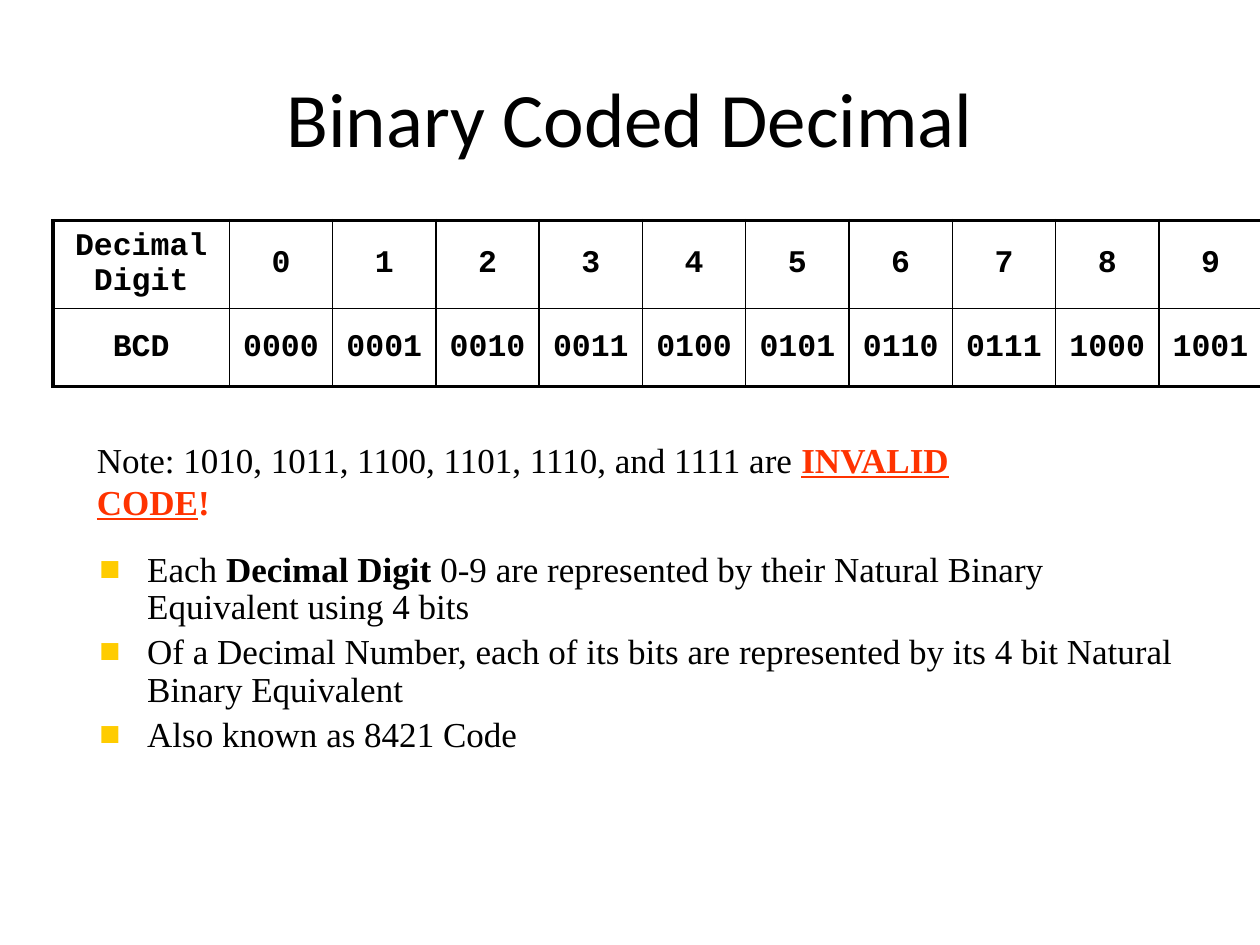
from lxml.etree import SubElement
from pptx import Presentation
from pptx.dml.color import RGBColor
from pptx.enum.text import MSO_ANCHOR, MSO_AUTO_SIZE, PP_ALIGN
from pptx.oxml.ns import qn
from pptx.util import Inches, Pt

BLACK, RED, YELLOW = "000000", "FF3300", "FFCC00"


def add_run(paragraph, text, font_name, size, color=BLACK, **formats):
    run = paragraph.add_run()
    run.text = text
    run.font.color.rgb = RGBColor.from_string(color)
    for name, value in {"name": font_name, "size": Pt(size), **formats}.items():
        setattr(run.font, name, value)


def add_text_frame(left, top, width, height):
    frame = slide.shapes.add_textbox(
        Inches(left), Inches(top), Inches(width), Inches(height)).text_frame
    frame.word_wrap = True
    frame.auto_size = MSO_AUTO_SIZE.SHAPE_TO_FIT_TEXT
    return frame


prs = Presentation()
prs.slide_width, prs.slide_height = Inches(10), Inches(7.5)
slide = prs.slides.add_slide(prs.slide_layouts[5])

# Title
title = slide.shapes.title
title.left, title.top = Inches(0.5), Inches(0.3)
title.width, title.height = Inches(9), Inches(1.25)
title.text_frame.vertical_anchor = MSO_ANCHOR.MIDDLE
heading = title.text_frame.paragraphs[0]
heading.alignment = PP_ALIGN.CENTER
add_run(heading, "Binary Coded Decimal", "Calibri", 44)

# Code table: each digit above its four-bit code
code_rows = [
    ["Decimal Digit"] + [str(digit) for digit in range(10)],
    ["BCD"] + [f"{digit:04b}" for digit in range(10)],
]
col_widths = [1.4] + [0.82] * 10
row_heights = [0.7, 0.62]
last_row, last_col = len(row_heights) - 1, len(col_widths) - 1
codes = slide.shapes.add_table(
    len(row_heights), len(col_widths), Inches(0.42), Inches(1.75),
    Inches(sum(col_widths)), Inches(sum(row_heights))).table
codes.first_row = codes.horz_banding = False
for column, width in zip(codes.columns, col_widths):
    column.width = Inches(width)
for row, height in zip(codes.rows, row_heights):
    row.height = Inches(height)

for r, values in enumerate(code_rows):
    for c, value in enumerate(values):
        cell = codes.cell(r, c)
        cell.vertical_anchor = MSO_ANCHOR.MIDDLE
        label = cell.text_frame.paragraphs[0]
        label.alignment = PP_ALIGN.CENTER
        add_run(label, value, "Courier New", 18, bold=True)
        # Borders come before the fill in the cell properties
        on_outer_edge = {"lnL": c == 0, "lnR": c == last_col,
                         "lnT": r == 0, "lnB": r == last_row}
        cell_props = cell._tc.get_or_add_tcPr()
        for side, outer in on_outer_edge.items():
            border = SubElement(cell_props, qn(f"a:{side}"),
                                w=str(Pt(2.25 if outer else 1)))
            border_fill = SubElement(border, qn("a:solidFill"))
            SubElement(border_fill, qn("a:srgbClr"), val=BLACK)
        cell.fill.background()

# Note on the unused codes
note = add_text_frame(0.67, 3.43, 7.76, 0.43).paragraphs[0]
for text, formats in [
    ("Note: 1010, 1011, 1100, 1101, 1110, and 1111 are ", {}),
    ("INVALID CODE", {"color": RED, "bold": True, "underline": True}),
    ("!", {"color": RED, "bold": True}),
]:
    add_run(note, text, "Times New Roman", 20, **formats)

# Bulleted facts, as (text, bold) pieces
facts = [
    [("Each ", False), ("Decimal Digit ", True),
     ("0-9 are represented by their Natural Binary Equivalent using 4 bits", False)],
    [("Of a Decimal Number, each of its bits are represented by its 4 bit "
      "Natural Binary Equivalent", False)],
    [("Also known as 8421 Code", False)],
]
facts_frame = add_text_frame(0.69, 4.33, 8.73, 1.75)
for i, pieces in enumerate(facts):
    fact = facts_frame.add_paragraph() if i else facts_frame.paragraphs[0]
    fact.line_spacing = 0.9
    fact.space_before = Pt(4 if i else 0)
    props = fact._p.get_or_add_pPr()
    props.set("marL", str(Inches(0.38)))
    props.set("indent", str(Inches(-0.38)))
    bullet_color = SubElement(props, qn("a:buClr"))
    SubElement(bullet_color, qn("a:srgbClr"), val=YELLOW)
    SubElement(props, qn("a:buFont"), typeface="Times New Roman")
    SubElement(props, qn("a:buChar"), char="■")
    for text, bold in pieces:
        add_run(fact, text, "Times New Roman", 20, bold=bold)

prs.save("out.pptx")
